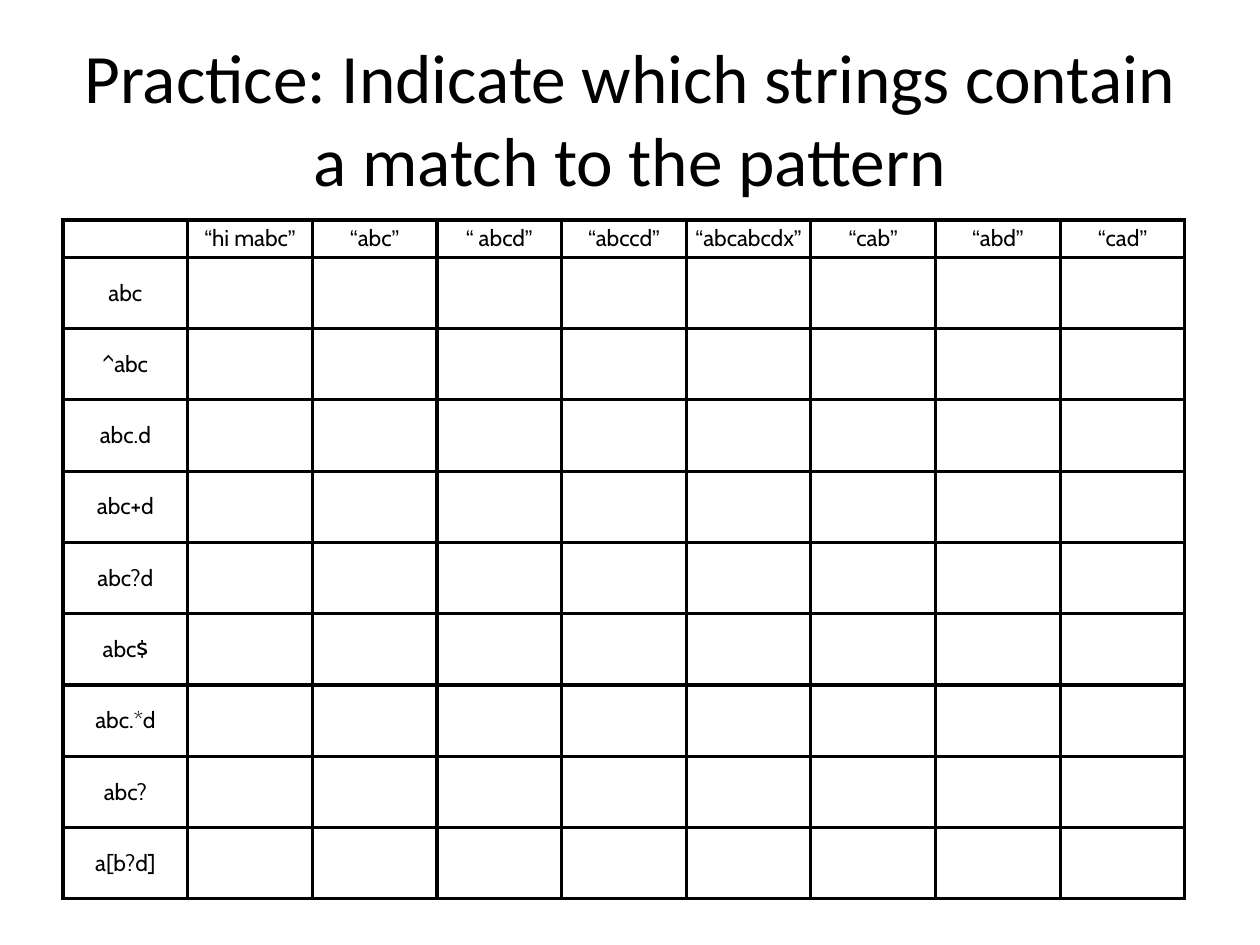
from lxml import etree
from pptx import Presentation
from pptx import util as u
from pptx.dml.color import RGBColor
from pptx.enum import text
from pptx.oxml.ns import qn


def px(n):
    return u.Emu(round(n * 914400 / 126))


def rgb(color):
    return RGBColor.from_string(color)


def write(p, value, font="Cabin", size=13, color="000000"):
    r = p.add_run()
    r.text = value
    r.font.name, r.font.size = font, u.Pt(size)
    r.font.color.rgb = rgb(color)


class Deck:
    """Holds the style and the current slide."""

    ink, paper, border, inset = "000000", "FFFFFF", 2, 5

    def __init__(self, width, height):
        self.prs = Presentation()
        self.prs.slide_width, self.prs.slide_height = px(width), px(height)
        self.s = self.prs.slides.add_slide(self.prs.slide_layouts[6])

    def title(self, value, x, y, w, h):
        tf = self.s.shapes.add_textbox(px(x), px(y), px(w), px(h)).text_frame
        tf.word_wrap = True
        tf.vertical_anchor = text.MSO_ANCHOR.MIDDLE
        p = tf.paragraphs[0]
        p.alignment = text.PP_ALIGN.CENTER
        write(p, value, font="Calibri", size=39.6, color=self.ink)

    def outline(self, cell):
        props = cell._tc.get_or_add_tcPr()
        for i, side in enumerate(("a:lnL", "a:lnR", "a:lnT", "a:lnB")):
            ln = etree.Element(qn(side), w=str(u.Pt(self.border)))
            fill = etree.SubElement(ln, qn("a:solidFill"))
            etree.SubElement(fill, qn("a:srgbClr"), val=self.ink)
            props.insert(i, ln)

    def cell(self, cell, runs):
        cell.margin_left = cell.margin_right = px(self.inset)
        cell.margin_top = cell.margin_bottom = px(self.inset)
        cell.vertical_anchor = text.MSO_ANCHOR.MIDDLE
        cell.fill.solid()
        cell.fill.fore_color.rgb = rgb(self.paper)
        self.outline(cell)
        p = cell.text_frame.paragraphs[0]
        p.alignment = text.PP_ALIGN.CENTER
        p.font.size = u.Pt(13)
        for value, font in runs:
            write(p, value, font=font, color=self.ink)

    def grid(self, strings, patterns, x, y, w, head, body):
        rows, cols = len(patterns) + 1, len(strings) + 1
        table = self.s.shapes.add_table(
            rows, cols, px(x), px(y), px(w), px(head + body)).table
        for col in table.columns:
            col.width = px(w / cols)
        for i, row in enumerate(table.rows):
            row.height = px(body / len(patterns) if i else head)
            for j, cell in enumerate(row.cells):
                runs = []
                if i == 0 and j:
                    runs = [("“", "Arial"), (strings[j - 1], "Cabin"), ("”", "Arial")]
                elif i and j == 0:
                    runs = [(patterns[i - 1], "Cabin")]
                self.cell(cell, runs)


def main():
    strings = ["hi mabc", "abc", " abcd", "abccd", "abcabcdx", "cab", "abd", "cad"]
    patterns = ["abc", "^abc", "abc.d", "abc+d", "abc?d", "abc$", "abc.*d", "abc?", "a[b?d]"]
    deck = Deck(1260, 945)
    deck.title("Practice: Indicate which strings contain a match to the pattern",
               63, 38, 1134, 158)
    deck.grid(strings, patterns, x=63, y=220, w=1122, head=37, body=642)
    deck.prs.save("out.pptx")


if __name__ == "__main__":
    main()
